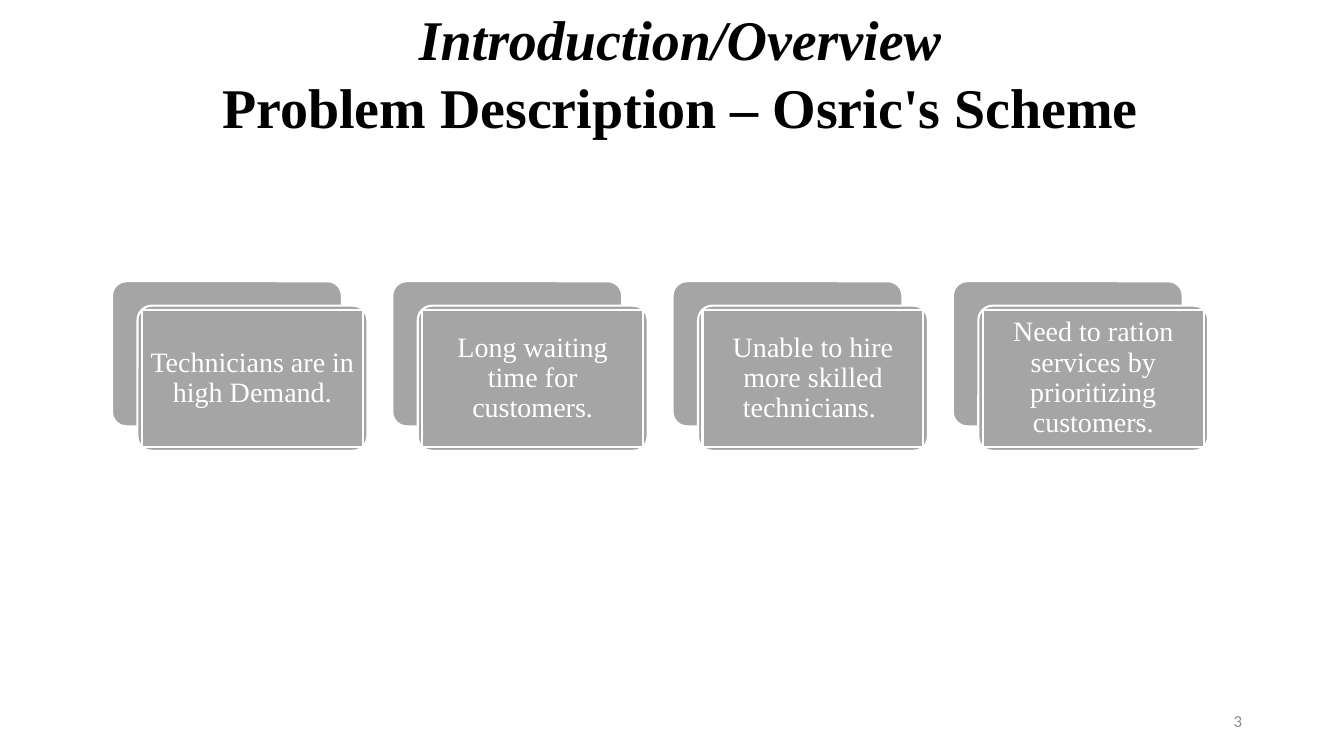
import dataclasses

import pptx
import pptx.dml.color
import pptx.enum.shapes
import pptx.enum.text
import pptx.util

SHAPE = pptx.enum.shapes.MSO_SHAPE
ALIGN = pptx.enum.text.PP_ALIGN
ANCHOR = pptx.enum.text.MSO_ANCHOR
FIT = pptx.enum.text.MSO_AUTO_SIZE


@dataclasses.dataclass(frozen=True)
class Theme:
    serif: str = "Times New Roman"
    sans: str = "Calibri"
    ink: str = "000000"
    paper: str = "FFFFFF"
    card: str = "A5A5A5"
    muted: str = "8C8C8C"
    title_size: float = 40
    card_size: float = 20
    number_size: float = 12
    outline: float = 1.5
    padding: float = 0.08


def rgb(value):
    return pptx.dml.color.RGBColor.from_string(value)


def write(para, text, *, font, size, color, bold=False, italic=False):
    span = para.add_run()
    span.text = text
    span.font.name = font
    span.font.size = pptx.util.Pt(size)
    span.font.color.rgb = rgb(color)
    span.font.bold = bold
    span.font.italic = italic


class Composer:
    """Places styled elements on one slide over a grid of 48 columns by 30 rows."""

    def __init__(self, deck, theme):
        self.theme = theme
        self.page = deck.slides.add_slide(deck.slide_layouts[6])
        self.column = deck.slide_width / 48
        self.row = deck.slide_height / 30

    def area(self, left, top, width, height):
        return (round(left * self.column), round(top * self.row),
                round(width * self.column), round(height * self.row))

    def textbox(self, *area, align, wrap=True):
        box = self.page.shapes.add_textbox(*self.area(*area))
        box.text_frame.word_wrap = wrap
        para = box.text_frame.paragraphs[0]
        para.alignment = align
        return box.text_frame, para

    def title(self, *area, lead, heading):
        frame, para = self.textbox(*area, align=ALIGN.CENTER, wrap=False)
        frame.auto_size = FIT.SHAPE_TO_FIT_TEXT
        style = dict(font=self.theme.serif, size=self.theme.title_size,
                     color=self.theme.ink, bold=True)
        write(para, lead, italic=True, **style)
        para.add_line_break()
        write(para, heading, **style)

    def number(self, *area, text):
        frame, para = self.textbox(*area, align=ALIGN.RIGHT)
        frame.vertical_anchor = ANCHOR.MIDDLE
        write(para, text, font=self.theme.sans, size=self.theme.number_size,
              color=self.theme.muted)

    def panel(self, shapes, kind, *area):
        box = shapes.add_shape(kind, *self.area(*area))
        box.shadow.inherit = False
        box.fill.solid()
        box.fill.fore_color.rgb = rgb(self.theme.card)
        box.line.color.rgb = rgb(self.theme.paper)
        box.line.width = pptx.util.Pt(self.theme.outline)
        if kind == SHAPE.ROUNDED_RECTANGLE:
            box.adjustments[0] = 0.1
        return box

    def label(self, box, text):
        frame = box.text_frame
        frame.word_wrap = True
        frame.vertical_anchor = ANCHOR.MIDDLE
        padding = pptx.util.Inches(self.theme.padding)
        frame.margin_left = frame.margin_right = padding
        frame.margin_top = frame.margin_bottom = padding
        para = frame.paragraphs[0]
        para.alignment = ALIGN.CENTER
        para.line_spacing = 0.9
        write(para, text, font=self.theme.serif, size=self.theme.card_size,
              color=self.theme.paper)

    def card(self, left, top, width, height, *, text, shift=(0.91, 0.97), inset=0.16):
        rounded = SHAPE.ROUNDED_RECTANGLE
        self.panel(self.page.shapes, rounded, left, top, width, height)
        front = self.page.shapes.add_group_shape().shapes
        left, top = left + shift[0], top + shift[1]
        self.panel(front, rounded, left, top, width, height)
        face = self.panel(front, SHAPE.RECTANGLE, left + inset, top + inset,
                          width - 2 * inset, height - 2 * inset)
        self.label(face, text)


def main():
    deck = pptx.Presentation()
    deck.slide_width = pptx.util.Inches(13.33)
    deck.slide_height = pptx.util.Inches(7.5)
    composer = Composer(deck, Theme())
    composer.title(7.38, 0, 33.81, 5.8, lead="Introduction/Overview",
                   heading="Problem Description – Osric's Scheme")
    problems = (
        "Technicians are in high Demand.",
        "Long waiting time for customers.",
        "Unable to hire more skilled technicians. ",
        "Need to ration services by prioritizing customers.",
    )
    for index, problem in enumerate(problems):
        composer.card(4 + 10.01 * index, 11.16, 8.21, 5.76, text=problem)
    composer.number(33.92, 27.8, 10.8, 1.6, text="3")
    deck.save("out.pptx")


if __name__ == "__main__":
    main()
